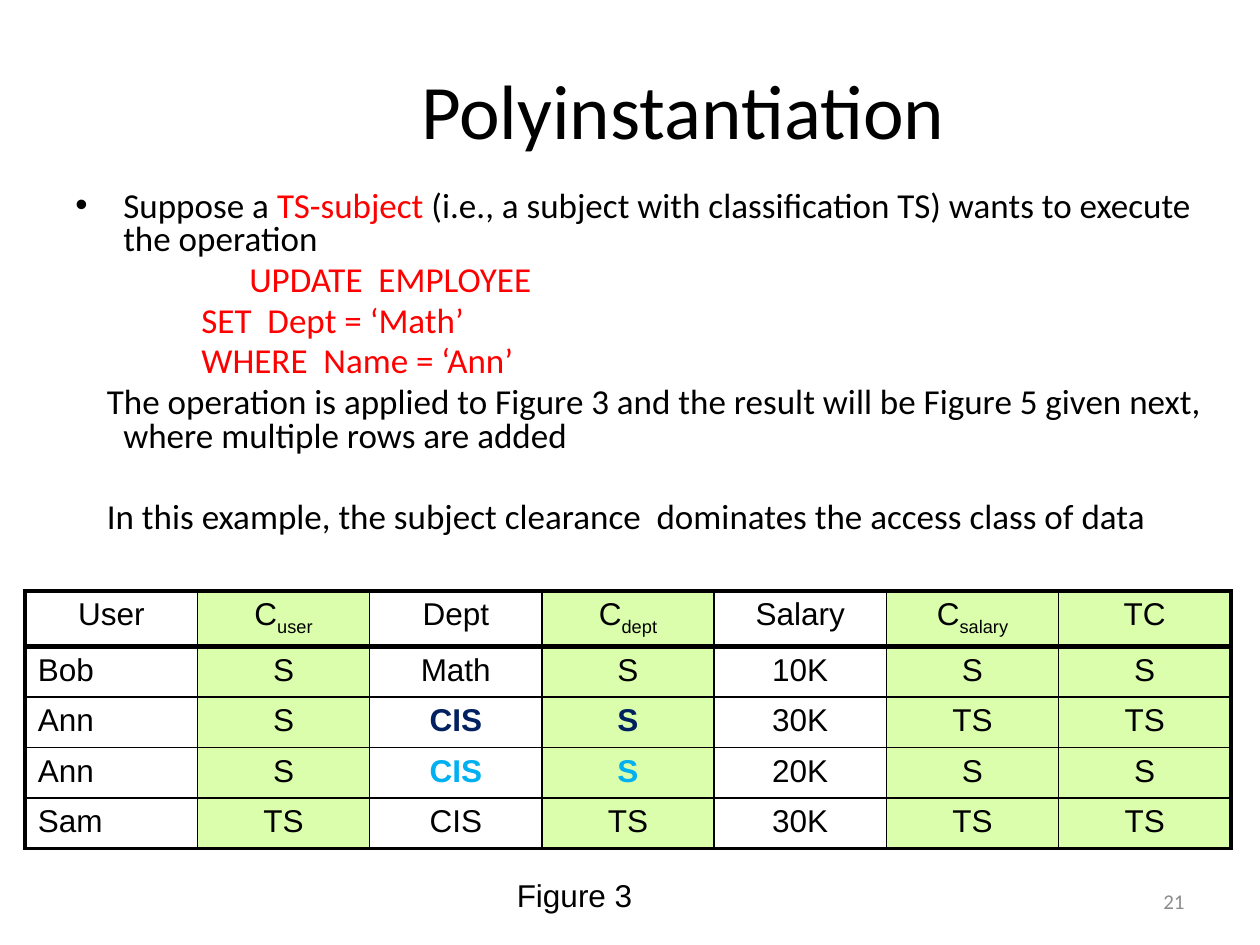
from lxml import etree
from pptx import Presentation
from pptx import util as u
from pptx.dml.color import RGBColor
from pptx.enum import text
from pptx.oxml.ns import qn

COLORS = {"black": "000000", "red": "FF0000", "navy": "002060",
          "sky": "00B0F0", "green": "DBFEAC", "gray": "8C8C8C"}
LEFT, CENTER, RIGHT = text.PP_ALIGN.LEFT, text.PP_ALIGN.CENTER, text.PP_ALIGN.RIGHT
MIDDLE = text.MSO_ANCHOR.MIDDLE

deck = Presentation()
deck.slide_width, deck.slide_height = u.Inches(10), u.Inches(7.5)
page = deck.slides.add_slide(deck.slide_layouts[5])


def write(para, words, size=18, font="Arial", color="black", bold=False,
          align=LEFT, subscript=False):
    """Append one formatted run to a paragraph."""
    para.alignment = align
    span = para.add_run()
    span.text = words
    span.font.size, span.font.name, span.font.bold = u.Pt(size), font, bold
    span.font.color.rgb = RGBColor.from_string(COLORS[color])
    if subscript:
        span._r.get_or_add_rPr().set("baseline", "-25000")


def add_box(left, top, width, height, anchor=text.MSO_ANCHOR.TOP):
    box = page.shapes.add_textbox(*map(u.Inches, (left, top, width, height)))
    box.text_frame.word_wrap = True
    box.text_frame.vertical_anchor = anchor
    return box.text_frame


# Title
title = page.shapes.title
title.left, title.top = u.Inches(1.17), u.Inches(0.42)
title.width, title.height = u.Inches(8.5), u.Inches(0.89)
title.text_frame.vertical_anchor = MIDDLE
write(title.text_frame.paragraphs[0], "Polyinstantiation", size=44,
      font="Calibri", align=CENTER)

# Body: margin, first-line indent, space before, coloured parts
body_lines = [
    (0.38, -0.38, 0, [("Suppose a ", "black"), ("TS-subject", "red"),
                      (" (i.e., a subject with classification TS) wants to "
                       "execute the operation", "black")]),
    (1.38, 0, 4, [("UPDATE  EMPLOYEE", "red")]),
    (1.0, 0, 4, [("SET  Dept = ‘Math’", "red")]),
    (1.0, 0, 4, [("WHERE  Name = ‘Ann’", "red")]),
    (0.38, -0.13, 4, [("The operation is applied to Figure 3 and the result will be "
                       "Figure 5 given next, where multiple rows are added", "black")]),
    (0.38, -0.13, 27.5, [("In this example, the subject clearance  dominates "
                          "the access class of data", "black")]),
]
body = add_box(0.5, 1.47, 9.15, 2.99)
for index, (margin, indent, before, parts) in enumerate(body_lines):
    para = body.add_paragraph() if index else body.paragraphs[0]
    para.line_spacing, para.space_before = 0.8, u.Pt(before)
    props = para._p.get_or_add_pPr()
    props.set("marL", str(u.Inches(margin)))
    props.set("indent", str(u.Inches(indent)))
    if index == 0:
        etree.SubElement(props, qn("a:buFont"), typeface="Arial")
        etree.SubElement(props, qn("a:buChar"), char="•")
    for words, color in parts:
        write(para, words, size=20, font="Calibri", color=color)

# Table; "C_x" is C with a subscript x
rows = [
    ["User", "C_user", "Dept", "C_dept", "Salary", "C_salary", "TC"],
    ["Bob", "S", "Math", "S", "10K", "S", "S"],
    ["Ann", "S", "CIS", "S", "30K", "TS", "TS"],
    ["Ann", "S", "CIS", "S", "20K", "S", "S"],
    ["Sam", "TS", "CIS", "TS", "30K", "TS", "TS"],
]
class_columns = {1, 3, 5, 6}
highlights = {(row, col): color for row, color in ((2, "navy"), (3, "sky"))
              for col in (2, 3)}
last_row, last_col = len(rows) - 1, len(rows[0]) - 1
OUTER, HEADER, INNER = 2.25, 3, 1

table = page.shapes.add_table(len(rows), len(rows[0]), u.Inches(0.2), u.Inches(4.69),
                              u.Inches(9.57), u.Inches(1.94)).table
table.first_row = table.horz_banding = False
for index, row in enumerate(table.rows):
    row.height = u.Inches(0.38 if index else 0.42)

for r, values in enumerate(rows):
    for c, value in enumerate(values):
        cell = table.cell(r, c)
        borders = {
            "a:lnL": OUTER if c == 0 else INNER,
            "a:lnR": OUTER if c == last_col else INNER,
            "a:lnT": {0: OUTER, 1: HEADER}.get(r, INNER),
            "a:lnB": {0: HEADER, last_row: OUTER}.get(r, INNER),
        }
        props = cell._tc.get_or_add_tcPr()
        for side, width in borders.items():
            line = etree.SubElement(props, qn(side), w=str(u.Pt(width)))
            fill = etree.SubElement(line, qn("a:solidFill"))
            etree.SubElement(fill, qn("a:srgbClr"), val=COLORS["black"])
        if c in class_columns:
            cell.fill.solid()
            cell.fill.fore_color.rgb = RGBColor.from_string(COLORS["green"])
        else:
            cell.fill.background()
        para = cell.text_frame.paragraphs[0]
        align = LEFT if r and c == 0 else CENTER
        for part, words in enumerate(value.split("_")):
            write(para, words, color=highlights.get((r, c), "black"),
                  bold=(r, c) in highlights, align=align, subscript=part > 0)

# Caption and page number
write(add_box(3.35, 6.9, 2.42, 0.4).paragraphs[0], "Figure 3", align=CENTER)
write(add_box(7.17, 6.95, 2.33, 0.4, MIDDLE).paragraphs[0], "21", size=12,
      font="Calibri", color="gray", align=RIGHT)

deck.save("out.pptx")
